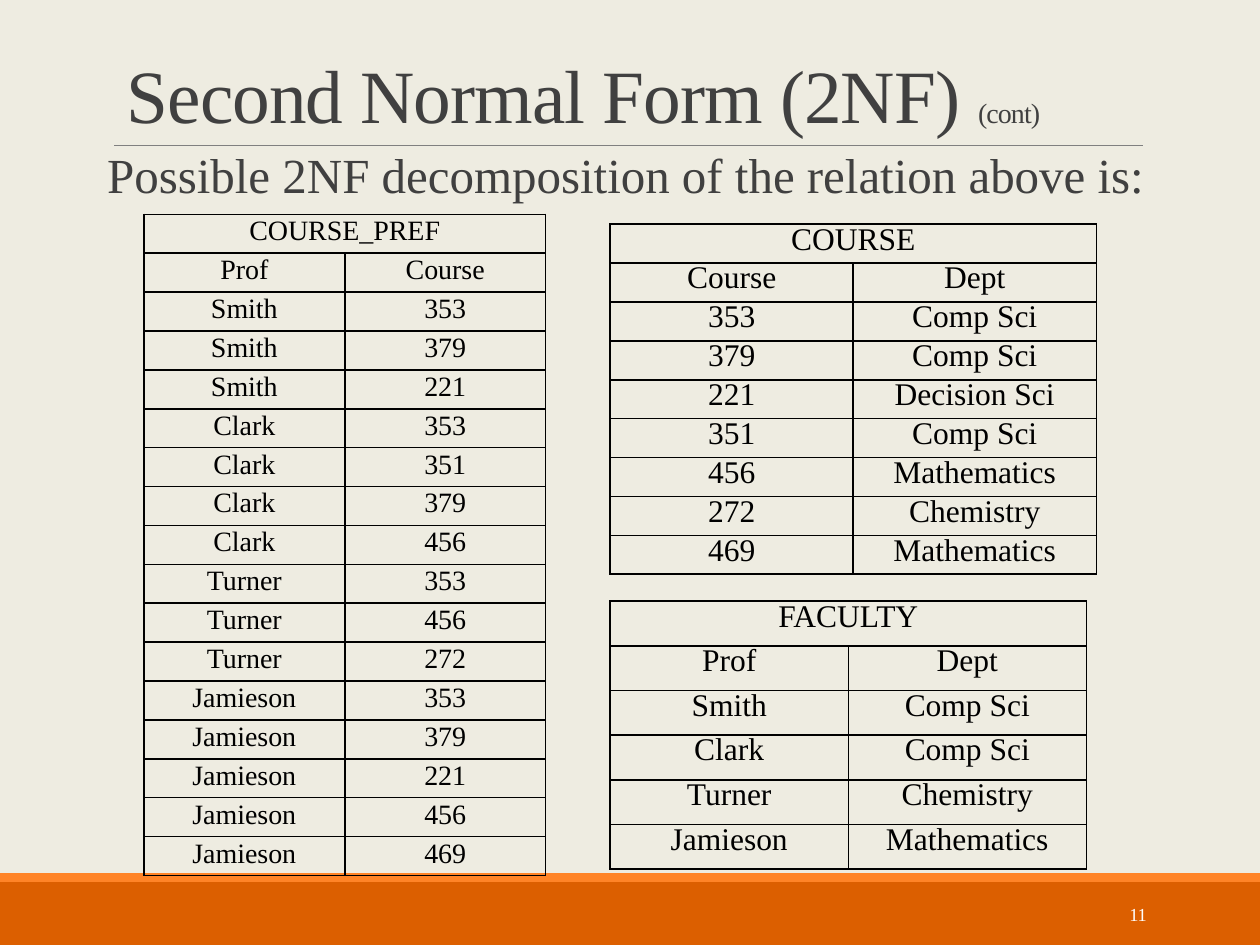
import dataclasses
import pptx
import pptx.util
import pptx.dml.color
import pptx.enum.shapes
import pptx.enum.text
import pptx.oxml
import pptx.oxml.ns

Cm = pptx.util.Cm
Pt = pptx.util.Pt
Align = pptx.enum.text.PP_ALIGN
Anchor = pptx.enum.text.MSO_ANCHOR


@dataclasses.dataclass(frozen=True)
class Theme:
    font: str = "Times New Roman"
    background: str = "EEECE1"
    band: str = "DC5F00"
    stripe: str = "FF8427"
    rule: str = "808080"
    heading: str = "404040"
    ink: str = "000000"
    page: str = "FFFFFF"
    title_size: float = 43
    suffix_size: float = 16
    lead_size: float = 28
    page_size: float = 10.5
    small_table_size: float = 16
    large_table_size: float = 18


THEME = Theme()

COURSE_PREF = [("Prof", "Course")] + [
    (prof, course)
    for prof, courses in {
        "Smith": "353 379 221",
        "Clark": "353 351 379 456",
        "Turner": "353 456 272",
        "Jamieson": "353 379 221 456 469",
    }.items()
    for course in courses.split()
]
COURSE = [
    ("Course", "Dept"),
    ("353", "Comp Sci"),
    ("379", "Comp Sci"),
    ("221", "Decision Sci"),
    ("351", "Comp Sci"),
    ("456", "Mathematics"),
    ("272", "Chemistry"),
    ("469", "Mathematics"),
]
FACULTY = [
    ("Prof", "Dept"),
    ("Smith", "Comp Sci"),
    ("Clark", "Comp Sci"),
    ("Turner", "Chemistry"),
    ("Jamieson", "Mathematics"),
]


def color(value):
    return pptx.dml.color.RGBColor.from_string(value)


def apply(target, values):
    for name, value in values.items():
        setattr(target, name, value)


def add_run(paragraph, text, size, ink):
    run = paragraph.add_run()
    run.text = text
    apply(run.font, {"name": THEME.font, "size": Pt(size)})
    run.font.color.rgb = color(ink)
    return run


def add_text(slide, box, text, size, ink, frame_values, paragraph_values):
    frame = slide.shapes.add_textbox(*box).text_frame
    apply(frame, {"word_wrap": True, **frame_values})
    paragraph = frame.paragraphs[0]
    apply(paragraph, paragraph_values)
    add_run(paragraph, text, size, ink)
    return paragraph


def add_title(slide, left, top, width, height):
    title = slide.shapes.title
    apply(title, {"left": left, "top": top, "width": width, "height": height})
    frame = title.text_frame
    apply(frame, {
        "vertical_anchor": Anchor.BOTTOM,
        "word_wrap": True,
        "auto_size": pptx.enum.text.MSO_AUTO_SIZE.NONE,
    })
    paragraph = frame.paragraphs[0]
    apply(paragraph, {"alignment": Align.LEFT, "line_spacing": 0.85})
    for text, size in (("Second Normal Form (2NF) ", THEME.title_size),
                       ("(cont)", THEME.suffix_size)):
        run = add_run(paragraph, text, size, THEME.heading)
        run._r.get_or_add_rPr().set("spc", "-50")

    rule = slide.shapes.add_connector(
        pptx.enum.shapes.MSO_CONNECTOR.STRAIGHT,
        left, top + height, left + Cm(20.75), top + height)
    rule.line.color.rgb = color(THEME.rule)
    rule.line.width = Pt(0.5)
    properties = rule._element.spPr
    properties.append(pptx.oxml.parse_xml(
        f"<a:effectLst {pptx.oxml.ns.nsdecls('a')}/>"))


def add_lead(slide, *box):
    paragraph = add_text(
        slide, box, "Possible 2NF decomposition of the relation above is:",
        THEME.lead_size, THEME.heading,
        {"margin_left": 0, "margin_right": 0},
        {"line_spacing": 0.9, "space_after": Pt(2)})
    paragraph._p.get_or_add_pPr().set("marL", str(Cm(0.25)))


def add_footer(slide, left, top, width, height):
    stripe_height = Cm(0.18)
    for band_top, band_height, fill in (
            (top + stripe_height, height - stripe_height, THEME.band),
            (top, stripe_height, THEME.stripe)):
        band = slide.shapes.add_shape(
            pptx.enum.shapes.MSO_SHAPE.RECTANGLE,
            left, band_top, width, band_height)
        band.shadow.inherit = False
        band.fill.solid()
        band.fill.fore_color.rgb = color(fill)
        band.line.fill.background()
    number_box = (left + Cm(20.62), top + Cm(0.33), Cm(2.75), Cm(1.01))
    add_text(slide, number_box, "11", THEME.page_size, THEME.page,
             {"vertical_anchor": Anchor.MIDDLE}, {"alignment": Align.RIGHT})


def add_borders(cell):
    properties = cell._tc.get_or_add_tcPr()
    for index, side in enumerate(("lnL", "lnR", "lnT", "lnB")):
        properties.insert(index, pptx.oxml.parse_xml(
            f'<a:{side} {pptx.oxml.ns.nsdecls("a")} w="{Pt(1)}"><a:solidFill>'
            f'<a:srgbClr val="{THEME.ink}"/></a:solidFill></a:{side}>'))


def add_relation(slide, left, top, width, row_height, name, records, size):
    rows = [(name, "")] + records
    table = slide.shapes.add_table(
        len(rows), 2, left, top, width, row_height * len(rows)).table
    apply(table, {"first_row": False, "horz_banding": False})
    table.cell(0, 0).merge(table.cell(0, 1))
    for row, values in zip(table.rows, rows):
        row.height = row_height
        for cell, text in zip(row.cells, values):
            cell.fill.background()
            add_borders(cell)
            paragraph = cell.text_frame.paragraphs[0]
            apply(paragraph, {"alignment": Align.CENTER, "line_spacing": Pt(15)})
            if text:
                add_run(paragraph, text, size, THEME.ink)


def main():
    presentation = pptx.Presentation()
    apply(presentation, {"slide_width": Cm(25.4), "slide_height": Cm(19.05)})
    slide = presentation.slides.add_slide(presentation.slide_layouts[5])
    slide.background.fill.solid()
    slide.background.fill.fore_color.rgb = color(THEME.background)

    add_footer(slide, 0, Cm(17.6), Cm(25.4), Cm(1.45))
    add_title(slide, Cm(2.3), Cm(0.53), Cm(22.86), Cm(2.4))
    add_lead(slide, Cm(1.91), Cm(2.92), Cm(22.86), Cm(13.08))
    add_relation(slide, Cm(2.9), Cm(4.32), Cm(8.1), Cm(0.78),
                 "COURSE_PREF", COURSE_PREF, THEME.small_table_size)
    add_relation(slide, Cm(12.3), Cm(4.52), Cm(9.8), Cm(0.78),
                 "COURSE", COURSE, THEME.large_table_size)
    add_relation(slide, Cm(12.3), Cm(12.12), Cm(9.6), Cm(0.9),
                 "FACULTY", FACULTY, THEME.large_table_size)
    presentation.save("out.pptx")


if __name__ == "__main__":
    main()
